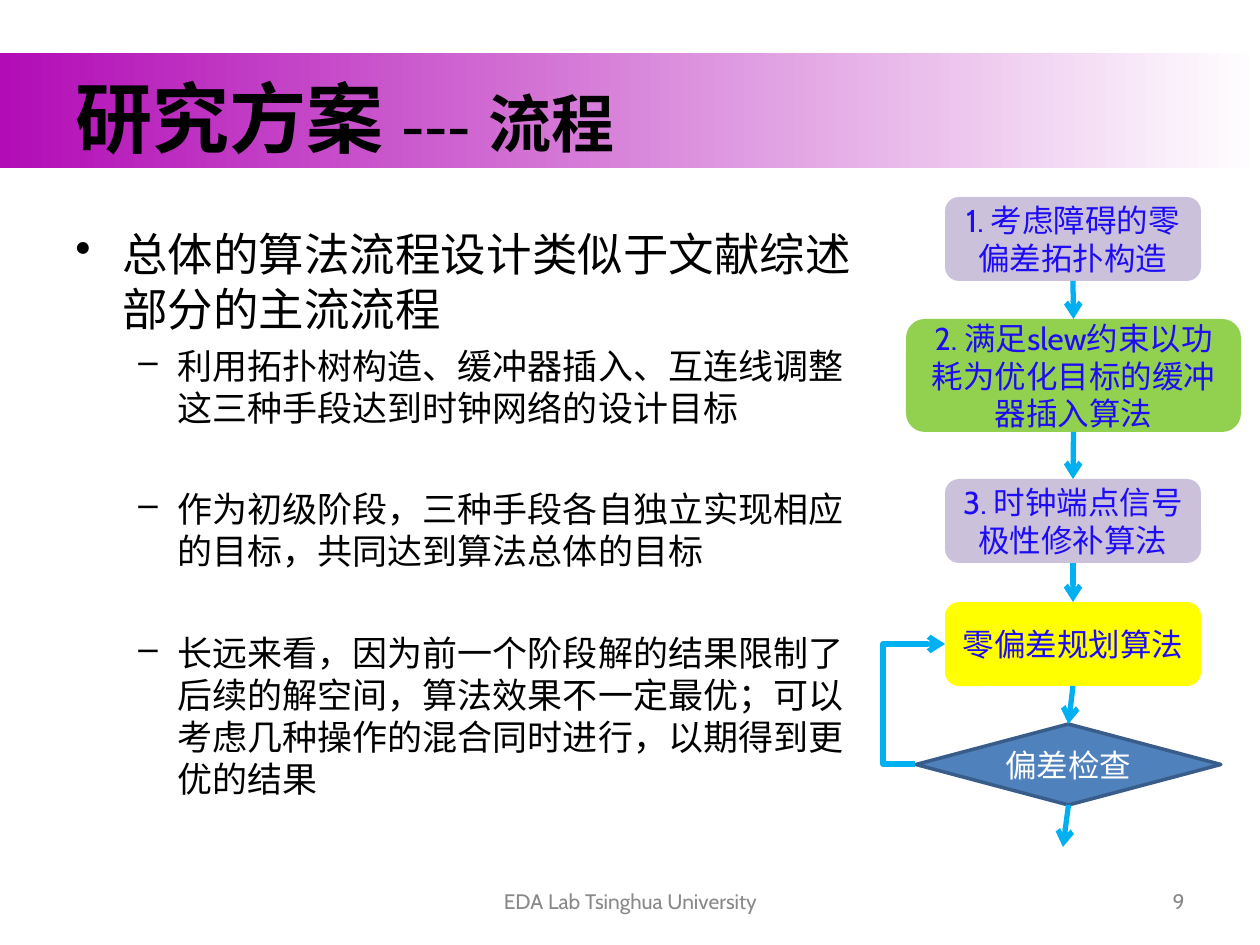
from lxml import etree
from pptx import Presentation
from pptx.dml.color import RGBColor
from pptx.enum.shapes import MSO_CONNECTOR, MSO_SHAPE
from pptx.enum.text import MSO_ANCHOR, PP_ALIGN
from pptx.oxml.ns import qn
from pptx.util import Pt

PX = 914400 / 126
FONT = "Cabin"
RECT, ROUND, DECISION = MSO_SHAPE.RECTANGLE, MSO_SHAPE.ROUNDED_RECTANGLE, MSO_SHAPE.FLOWCHART_DECISION
STRAIGHT, ELBOW = MSO_CONNECTOR.STRAIGHT, MSO_CONNECTOR.ELBOW
TOP, MIDDLE = MSO_ANCHOR.TOP, MSO_ANCHOR.MIDDLE
LEFT, CENTER, RIGHT = PP_ALIGN.LEFT, PP_ALIGN.CENTER, PP_ALIGN.RIGHT
SITE_TOP, SITE_BOTTOM = 0, 2

COLORS = {
    "banner": "B20CB6", "white": "FFFFFF", "text": "000000", "footer": "898989",
    "step_text": "1D0CF4", "lilac": "CCC1DA", "green": "92D050", "yellow": "FFFF00",
    "check": "4F81BD", "check_line": "385D8A", "arrow": "00B0F0",
}

TITLE = [("研究方案 ", 44), ("---", 32), (" ", 44), ("流程", 36)]
BODY = [
    ("总体的算法流程设计类似于文献综述部分的主流流程", 0, 6.5),
    ("利用拓扑树构造、缓冲器插入、互连线调整这三种手段达到时钟网络的设计目标", 1, 5),
    ("作为初级阶段，三种手段各自独立实现相应的目标，共同达到算法总体的目标", 1, 34),
    ("长远来看，因为前一个阶段解的结果限制了后续的解空间，算法效果不一定最优；可以考虑几种操作的混合同时进行，以期得到更优的结果", 1, 34),
]
LEVELS = [("•", 26, 47, 47), ("–", 20, 102, 39)]
FOOTERS = [
    ("EDA Lab Tsinghua University", (431, 876, 399, 50), CENTER),
    ("9", (903, 876, 294, 50), RIGHT),
]
STEPS = [
    ("1. 考虑障碍的零偏差拓扑构造", ROUND, (945, 197, 256, 84), "lilac", "step_text"),
    ("2. 满足slew约束以功耗为优化目标的缓冲器插入算法", ROUND, (906, 319, 335, 113), "green", "step_text"),
    ("3. 时钟端点信号极性修补算法", ROUND, (945, 479, 256, 84), "lilac", "step_text"),
    ("零偏差规划算法", ROUND, (945, 602, 256, 84), "yellow", "step_text"),
    ("偏差检查", DECISION, (916, 724, 305, 81), "check", "white"),
]
EXIT_ARROW = (1068, 805, 1063, 847)
LOOP_ARROW = (915, 764, 945, 644)
LOOP_BEND = -106500


def emu(*lengths):
    return [round(length * PX) for length in lengths]


def rgb(name):
    return RGBColor.from_string(COLORS[name])


def add_run(paragraph, words, size, color, bold=False):
    run = paragraph.add_run()
    run.text = words
    run.font.name = FONT
    run.font.size = Pt(size)
    run.font.bold = bold
    run.font.color.rgb = rgb(color)


def set_frame(shape, anchor, align):
    frame = shape.text_frame
    frame.word_wrap = True
    frame.vertical_anchor = anchor
    frame.paragraphs[0].alignment = align
    return frame


def add_text(slide, box, anchor, align):
    return set_frame(slide.shapes.add_textbox(*emu(*box)), anchor, align)


def add_bullet(paragraph, mark, margin, hanging):
    props = paragraph._p.get_or_add_pPr()
    props.set("marL", str(round(margin * PX)))
    props.set("indent", str(round(-hanging * PX)))
    etree.SubElement(props, qn("a:buChar"), char=mark)


def add_arrow(slide, kind, ends):
    arrow = slide.shapes.add_connector(kind, *emu(*ends))
    arrow.line.color.rgb = rgb("arrow")
    arrow.line.width = Pt(3)
    etree.SubElement(arrow.line._get_or_add_ln(), qn("a:tailEnd"), type="arrow")
    etree.SubElement(arrow._element.spPr, qn("a:effectLst"))
    return arrow


def add_banner(slide):
    banner = slide.shapes.add_shape(RECT, *emu(0, 53, 1260, 115))
    banner.shadow.inherit = False
    banner.line.fill.background()
    banner.fill.gradient()
    banner.fill.gradient_angle = 0
    for stop, color in zip(banner.fill.gradient_stops, ("banner", "white")):
        stop.color.rgb = rgb(color)


def add_step(slide, words, kind, box, fill, color):
    step = slide.shapes.add_shape(kind, *emu(*box))
    step.shadow.inherit = False
    step.fill.solid()
    step.fill.fore_color.rgb = rgb(fill)
    if kind == DECISION:
        step.line.color.rgb = rgb("check_line")
        step.line.width = Pt(2)
    else:
        step.line.fill.background()
    add_run(set_frame(step, MIDDLE, CENTER).paragraphs[0], words, 18, color)
    return step


def main():
    deck = Presentation()
    deck.slide_width, deck.slide_height = emu(1260, 945)
    slide = deck.slides.add_slide(deck.slide_layouts[6])

    add_banner(slide)
    title = add_text(slide, (63, 38, 1134, 157), MIDDLE, LEFT)
    for words, size in TITLE:
        add_run(title.paragraphs[0], words, size, "text", True)

    body = add_text(slide, (63, 220, 823, 624), TOP, LEFT)
    for index, (words, level, gap) in enumerate(BODY):
        paragraph = body.add_paragraph() if index else body.paragraphs[0]
        mark, size, margin, hanging = LEVELS[level]
        paragraph.level = level
        paragraph.space_before = Pt(gap)
        add_bullet(paragraph, mark, margin, hanging)
        add_run(paragraph, words, size, "text")

    for words, box, align in FOOTERS:
        add_run(add_text(slide, box, MIDDLE, align).paragraphs[0], words, 12, "footer")

    steps = [add_step(slide, *step) for step in STEPS]
    for upper, lower in zip(steps, steps[1:]):
        arrow = add_arrow(slide, STRAIGHT, (0, 0, 0, 0))
        arrow.begin_connect(upper, SITE_BOTTOM)
        arrow.end_connect(lower, SITE_TOP)

    add_arrow(slide, STRAIGHT, EXIT_ARROW).begin_connect(steps[-1], SITE_BOTTOM)
    loop = add_arrow(slide, ELBOW, LOOP_ARROW)
    guides = loop._element.spPr.find(qn("a:prstGeom")).get_or_add_avLst()
    etree.SubElement(guides, qn("a:gd"), name="adj1", fmla=f"val {LOOP_BEND}")

    deck.save("out.pptx")


if __name__ == "__main__":
    main()
